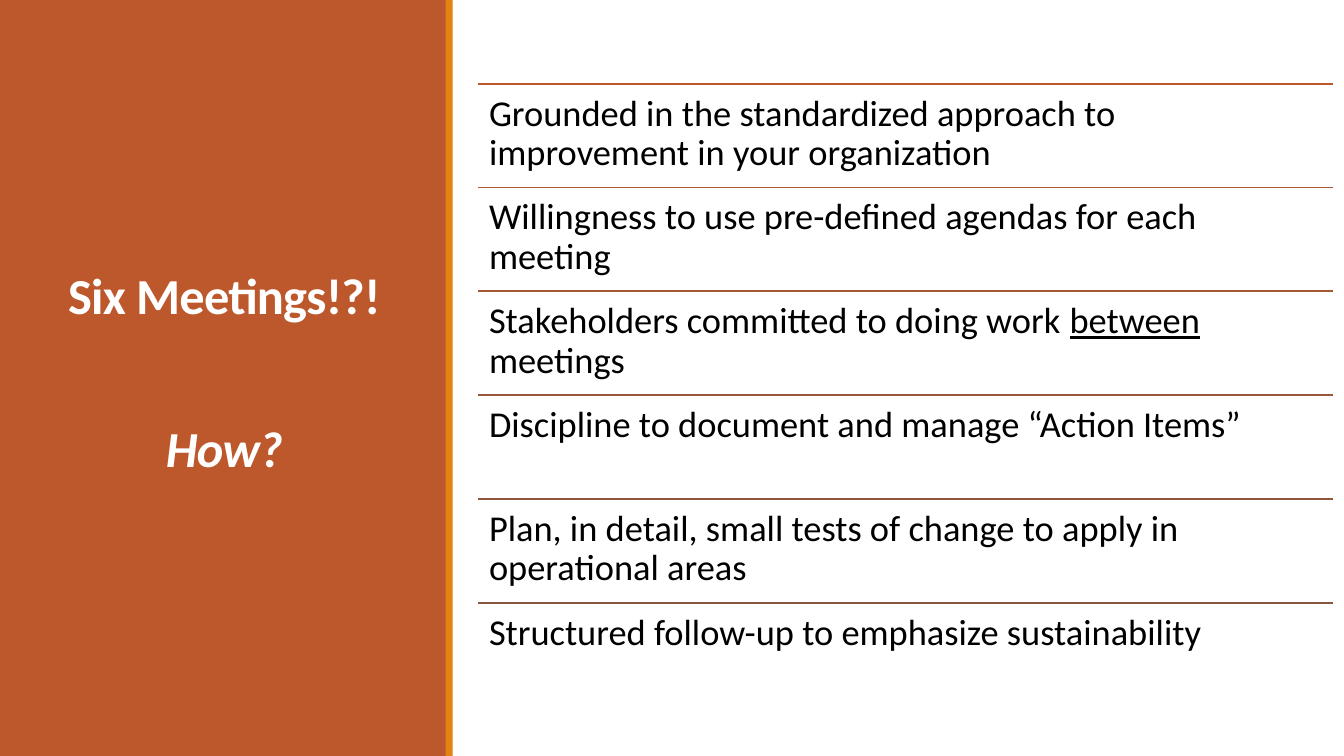
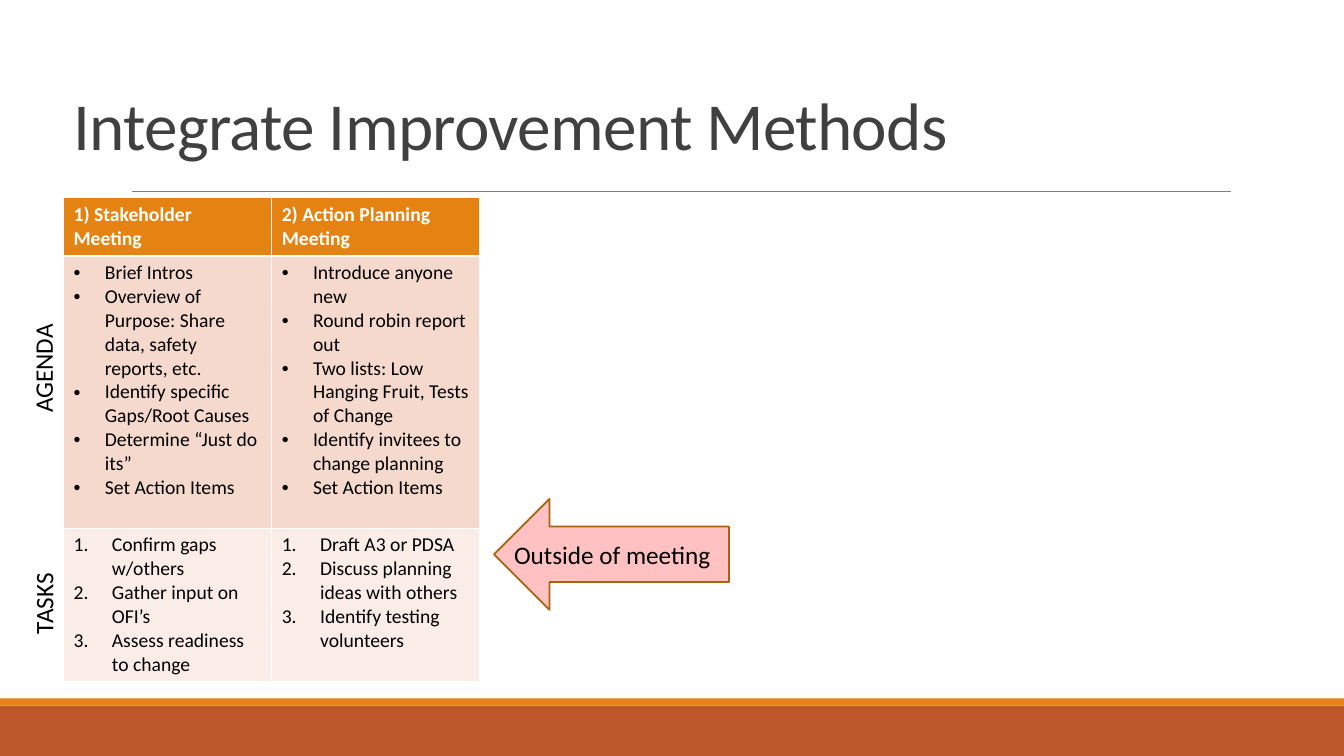
"""Build two slides on running six improvement meetings."""
from dataclasses import dataclass

from lxml.etree import SubElement
from pptx import Presentation
from pptx.dml.color import RGBColor
from pptx.enum.shapes import MSO_CONNECTOR, MSO_SHAPE
from pptx.enum.text import MSO_ANCHOR, PP_ALIGN
from pptx.oxml.ns import qn
from pptx.shapes.autoshape import Shape
from pptx.slide import Slide
from pptx.table import _Cell
from pptx.text.text import _Paragraph, _Run
from pptx.util import Inches, Pt

RUST = RGBColor(0xBD, 0x58, 0x2C)
ORANGE = RGBColor(0xE4, 0x83, 0x12)
WHITE = RGBColor(0xFF, 0xFF, 0xFF)
BLACK = RGBColor(0x00, 0x00, 0x00)
DARK = RGBColor(0x40, 0x40, 0x40)
GRAY = RGBColor(0x80, 0x80, 0x80)
PEACH = RGBColor(0xF5, 0xD9, 0xCC)
PALE = RGBColor(0xFA, 0xED, 0xE7)
PINK = RGBColor(0xFF, 0xC1, 0xC1)
BROWN = RGBColor(0xA9, 0x61, 0x0D)
FONT = "Calibri"
WIDE, HIGH = 13.33, 7.5


@dataclass(frozen=True)
class Box:
    """Place and size in inches."""
    left: float
    top: float
    width: float
    height: float

    def emu(self) -> tuple[int, int, int, int]:
        """Give the four lengths to python-pptx."""
        return (Inches(self.left), Inches(self.top),
                Inches(self.width), Inches(self.height))


@dataclass(frozen=True)
class Point:
    """One ruled point; the part given in under is underlined."""
    text: str
    color: RGBColor
    under: str = ""


@dataclass(frozen=True)
class Band:
    """One table row: its height, fill, list marker, indent and cells."""
    height: float
    fill: RGBColor
    mark: str
    indent: float
    cells: tuple[tuple[str, ...], ...]


@dataclass(frozen=True)
class Label:
    """One upright label beside the table."""
    text: str
    box: Box


POINTS = (
    Point("Grounded in the standardized approach to improvement in your organization", RUST),
    Point("Willingness to use pre-defined agendas for each meeting",
          RGBColor(0xB1, 0x58, 0x31)),
    Point("Stakeholders committed to doing work between meetings",
          RGBColor(0xA6, 0x58, 0x35), "between"),
    Point("Discipline to document and manage “Action Items”",
          RGBColor(0x9B, 0x57, 0x39)),
    Point("Plan, in detail, small tests of change to apply in operational areas",
          RGBColor(0x90, 0x57, 0x3D)),
    Point("Structured follow-up to emphasize sustainability",
          RGBColor(0x86, 0x56, 0x40)),
)
BANDS = (
    Band(0.58, ORANGE, "", 0, (
        ("1) Stakeholder Meeting",),
        ("2) Action Planning Meeting",))),
    Band(2.7, PEACH, "buChar", 0.31, (
        ("Brief Intros",
         "Overview of Purpose: Share data, safety reports, etc.",
         "Identify specific Gaps/Root Causes",
         "Determine “Just do its”",
         "Set Action Items"),
        ("Introduce anyone new",
         "Round robin report out",
         "Two lists: Low Hanging Fruit, Tests of Change",
         "Identify invitees to change planning",
         "Set Action Items"))),
    Band(1.52, PALE, "buAutoNum", 0.38, (
        ("Confirm gaps w/others",
         "Gather input on OFI’s",
         "Assess readiness to change"),
        ("Draft A3 or PDSA",
         "Discuss planning ideas with others",
         "Identify testing volunteers"))),
)
LABELS = (
    Label("AGENDA", Box(-0.5, 3.07, 1.85, 0.4)),
    Label("TASKS", Box(-0.12, 5.64, 1.1, 0.4)),
)
MARKS = {"buChar": {"char": "•"}, "buAutoNum": {"type": "arabicPeriod"}}


def style(run: _Run, size: float, color: RGBColor, bold: bool = False) -> None:
    """Set the font of a run."""
    run.font.name = FONT
    run.font.size = Pt(size)
    run.font.color.rgb = color
    run.font.bold = bold


def add_bar(slide: Slide, box: Box, color: RGBColor) -> None:
    """Draw a plain filled bar."""
    bar = slide.shapes.add_shape(MSO_SHAPE.RECTANGLE, *box.emu())
    bar.shadow.inherit = False
    bar.fill.solid()
    bar.fill.fore_color.rgb = color
    bar.line.fill.background()


def add_rule(slide: Slide, left: float, right: float, top: float,
             color: RGBColor, width: float) -> None:
    """Draw a level line."""
    rule = slide.shapes.add_connector(
        MSO_CONNECTOR.STRAIGHT, Inches(left), Inches(top), Inches(right), Inches(top))
    rule.line.color.rgb = color
    rule.line.width = Pt(width)
    SubElement(rule._element.spPr, qn("a:effectLst"))


def add_text(slide: Slide, box: Box, text: str, size: float,
             color: RGBColor, bold: bool = False) -> Shape:
    """Add a wrapped text box, one paragraph a line."""
    shape = slide.shapes.add_textbox(*box.emu())
    frame = shape.text_frame
    frame.word_wrap = True
    frame.text = text
    for para in frame.paragraphs:
        style(para.runs[0], size, color, bold)
    return shape


def add_title(slide: Slide, box: Box, text: str, size: float, color: RGBColor,
              anchor: MSO_ANCHOR, bold: bool = False) -> list[_Paragraph]:
    """Add a tightly set title and return its paragraphs."""
    frame = add_text(slide, box, text, size, color, bold).text_frame
    frame.vertical_anchor = anchor
    for para in frame.paragraphs:
        para.line_spacing = 0.85
        para.runs[0]._r.get_or_add_rPr().set("spc", "-50")
    return list(frame.paragraphs)


def add_point(slide: Slide, point: Point, box: Box) -> None:
    """Draw a ruled point."""
    add_rule(slide, box.left, box.left + box.width, box.top, point.color, 1.25)
    frame = add_text(slide, box, point.text, 26, BLACK).text_frame
    frame.margin_left = frame.margin_right = Inches(0.11)
    frame.margin_top = frame.margin_bottom = Inches(0.11)
    para = frame.paragraphs[0]
    para.line_spacing = 0.9
    if point.under:
        head, tail = point.text.split(point.under)
        para.runs[0].text = head
        for part in (point.under, tail):
            run = para.add_run()
            run.text = part
            style(run, 26, BLACK)
            run.font.underline = part == point.under


def fill_cell(cell: _Cell, band: Band, lines: tuple[str, ...]) -> None:
    """Fill a table cell with its text or list."""
    cell.fill.solid()
    cell.fill.fore_color.rgb = band.fill
    cell.text_frame.text = "\n".join(lines)
    for para in cell.text_frame.paragraphs:
        if band.mark:
            props = para._p.get_or_add_pPr()
            props.set("marL", str(Inches(band.indent)))
            props.set("indent", str(-Inches(band.indent)))
            SubElement(props, qn("a:buFont"), typeface="Arial" if band.mark == "buChar" else "+mj-lt")
            SubElement(props, qn(f"a:{band.mark}"), MARKS[band.mark])
        style(para.runs[0], 14, BLACK if band.mark else WHITE, not band.mark)


def add_grid(slide: Slide) -> None:
    """Draw the table of meetings."""
    box = Box(0.63, 1.96, 4.13, sum(band.height for band in BANDS))
    grid = slide.shapes.add_table(len(BANDS), 2, *box.emu()).table
    for row, band in enumerate(BANDS):
        grid.rows[row].height = Inches(band.height)
        for col, lines in enumerate(band.cells):
            fill_cell(grid.cell(row, col), band, lines)


def add_arrow(slide: Slide) -> None:
    """Draw the arrow that points at the tasks."""
    arrow = slide.shapes.add_shape(MSO_SHAPE.LEFT_ARROW, *Box(4.9, 4.95, 2.33, 1.1).emu())
    arrow.shadow.inherit = False
    arrow.fill.solid()
    arrow.fill.fore_color.rgb = PINK
    arrow.line.color.rgb = BROWN
    arrow.line.width = Pt(1.25)
    frame = arrow.text_frame
    frame.word_wrap = False
    frame.margin_left, frame.margin_right = 0, Inches(0.26)
    frame.vertical_anchor = MSO_ANCHOR.MIDDLE
    frame.text = "Outside of meeting"
    frame.paragraphs[0].alignment = PP_ALIGN.CENTER
    style(frame.paragraphs[0].runs[0], 18, BLACK)


def build_how(slide: Slide) -> None:
    """Build the slide that says how six meetings work."""
    add_bar(slide, Box(0, 0, 4.43, HIGH), RUST)
    add_bar(slide, Box(4.42, 0, 0.07, HIGH), ORANGE)
    paras = add_title(slide, Box(0.54, 0.57, 3.37, 6.31), "Six Meetings!?!\nHow?",
                      36, WHITE, MSO_ANCHOR.MIDDLE, bold=True)
    for para in paras:
        para.alignment = PP_ALIGN.CENTER
    paras[1].space_before = Pt(72)
    paras[1].runs[0].font.italic = True
    step = 1.03
    for row, point in enumerate(POINTS):
        add_point(slide, point, Box(4.74, 0.83 + row * step, 8.48, step))


def build_grid(slide: Slide) -> None:
    """Build the slide with the table of meetings."""
    add_bar(slide, Box(0, 7, WIDE, 0.5), RUST)
    add_bar(slide, Box(0, 6.93, WIDE, 0.07), ORANGE)
    add_rule(slide, 1.31, 12.21, 1.9, GRAY, 0.5)
    add_title(slide, Box(0.63, 0.23, 11.5, 1.45), "Integrate Improvement Methods",
              48, DARK, MSO_ANCHOR.BOTTOM)
    add_grid(slide)
    for label in LABELS:
        add_text(slide, label.box, label.text, 18, BLACK).rotation = 270
    add_arrow(slide)


def main() -> None:
    """Build and save the deck."""
    deck = Presentation()
    deck.slide_width, deck.slide_height = Inches(WIDE), Inches(HIGH)
    for build in (build_how, build_grid):
        build(deck.slides.add_slide(deck.slide_layouts[6]))
    deck.save("out.pptx")


if __name__ == "__main__":
    main()
